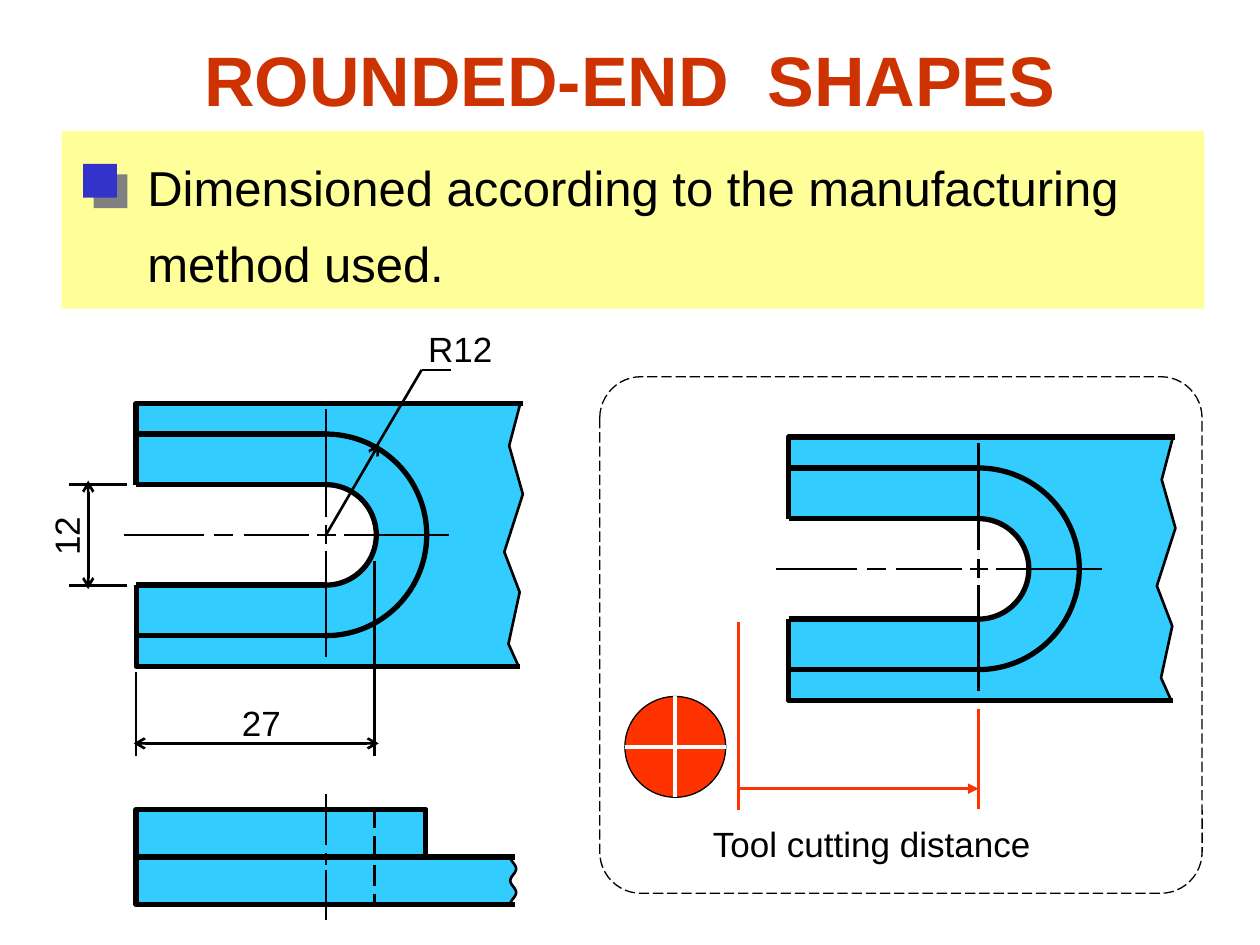
from math import cos, pi
from lxml import etree
from pptx import Presentation
from pptx.dml.color import RGBColor
from pptx.enum import dml, shapes, text
from pptx.oxml.ns import qn
from pptx.util import Pt

INK = dict(red="CC3300", tool="FF3300", steel="33CCFF", pale="FFFF99",
           blue="3333CC", grey="808080", black="000000", white="FFFFFF")
KIND = shapes.MSO_SHAPE
THICK, THIN = 3, 1.5


def rgb(name):
    return RGBColor.from_string(INK[name])


def apply(obj, form):
    for key, val in form.items():
        setattr(obj, key, val)


def paint(shp, fill=None, line=None, width=THICK, dash=None):
    shp.shadow.inherit = False
    if fill:
        shp.fill.solid()
        shp.fill.fore_color.rgb = rgb(fill)
    else:
        shp.fill.background()
    if line:
        shp.line.color.rgb = rgb(line)
        apply(shp.line, dict(width=Pt(width), dash_style=dash))
    else:
        shp.line.fill.background()
    return shp


def block(sld, kind, x, y, w, h, **look):
    shp = sld.shapes.add_shape(kind, Pt(x), Pt(y), Pt(w), Pt(h))
    return paint(shp, **look)


def outline(sld, pts, close=False, **look):
    pts = [(Pt(x), Pt(y)) for x, y in pts]
    form = sld.shapes.build_freeform(*pts[0])
    form.add_line_segments(pts[1:], close=close)
    return paint(form.convert_to_shape(), **look)


def line(sld, x1, y1, x2, y2, width=THIN, color="black", dash=None, **ends):
    con = sld.shapes.add_connector(
        shapes.MSO_CONNECTOR.STRAIGHT, Pt(x1), Pt(y1), Pt(x2), Pt(y2))
    con.line.color.rgb = rgb(color)
    apply(con.line, dict(width=Pt(width), dash_style=dash))
    for end in ("head", "tail"):
        if end in ends:
            etree.SubElement(con.line._ln, qn(f"a:{end}End"), type=ends[end])
    etree.SubElement(con._element.spPr, qn("a:effectLst"))


def write(frame, lines, size, color="black", bold=False, **para):
    for i, words in enumerate(lines):
        par = frame.paragraphs[0] if i == 0 else frame.add_paragraph()
        par.text = words
        apply(par, para)
        apply(par.font, dict(name="Arial", size=Pt(size), bold=bold))
        par.font.color.rgb = rgb(color)


def label(sld, lines, x, y, w, h, size=20, turn=0, **para):
    box = sld.shapes.add_textbox(Pt(x), Pt(y), Pt(w), Pt(h))
    box.rotation = turn
    apply(box.text_frame, dict(word_wrap=False,
                               auto_size=text.MSO_AUTO_SIZE.SHAPE_TO_FIT_TEXT))
    write(box.text_frame, lines, size, **para)


def heading(sld, x, y, w, h):
    box = sld.shapes.title
    apply(box, dict(left=Pt(x), top=Pt(y), width=Pt(w), height=Pt(h)))
    apply(box.text_frame, dict(vertical_anchor=text.MSO_ANCHOR.MIDDLE,
                               word_wrap=True,
                               auto_size=text.MSO_AUTO_SIZE.NONE))
    write(box.text_frame, ["ROUNDED-END  SHAPES"], 40, "red", True,
          alignment=text.PP_ALIGN.CENTER)


def banner(sld, x, y, w, h):
    block(sld, KIND.RECTANGLE, x, y, w, h, fill="pale")
    label(sld, ["Dimensioned according to the manufacturing", "method used."],
          x + 41.8, y + 1.5, 576.7, 95, size=28, line_spacing=1.3)
    # Square marker with a hard offset shadow
    mark = block(sld, KIND.RECTANGLE, x + 12.2, y + 18.7, 19.4, 19.4,
                 fill="blue")
    glow = etree.SubElement(mark._element.spPr.find(qn("a:effectLst")),
                            qn("a:outerShdw"), blurRad="0",
                            dist=str(Pt(8.5)), dir="2700000", algn="ctr",
                            rotWithShape="0")
    etree.SubElement(glow, qn("a:srgbClr"), val=INK["grey"])


def plate(sld, x, y, h):
    """Top view of a slotted plate; x, y is its top left corner."""
    cx, cy, big, slot = x + 108.5, y + h / 2, 57.6, 28.7
    torn = [(219.6, 0), (213.2, 24.3), (221, 52), (210.4, 85),
            (219.2, 108), (212.8, 137.5), (218.6, h)]
    edge = [(x + dx, y + dy) for dx, dy in torn]
    outline(sld, [(x, y), *edge, (x, y + h)], close=True, fill="steel")
    # Raised rim, then the slot cut through it
    for r, fill in ((big, "steel"), (slot, "white")):
        if r == slot:
            block(sld, KIND.RECTANGLE, x - 1.5, cy - r, cx - x + 1.5, 2 * r,
                  fill=fill)
        arc = block(sld, KIND.ARC, cx - r, cy - r, 2 * r, 2 * r,
                    fill=fill, line="black")
        arc.adjustments[0], arc.adjustments[1] = 162, 54
        for side in (cy - r, cy + r):
            line(sld, x, side, cx, side, THICK)
    outline(sld, edge, line="black", width=THIN)
    for end, lip, far in ((y, cy - slot, 221), (y + h, cy + slot, 219.6)):
        outline(sld, [(x, lip), (x, end), (x + far, end)], line="black")
    # Centre lines
    for a, b in ((-115.5, -69.5), (-64, -53), (-47, -9.5), (-5, 5.5),
                 (10, 70.5)):
        line(sld, cx + a, cy, cx + b, cy)
    for a, b in ((-72, -10.5), (-5.5, 5.5), (9.5, 70)):
        line(sld, cx, cy + a, cx, cy + b)


def sizes(sld, x, y, h):
    """Dimensions of the plate whose top left corner is x, y."""
    cx, cy, slot = x + 108.5, y + h / 2, 28.9
    # Radius
    line(sld, cx, cy, cx + 30.2, cy - 51.8, tail="arrow")
    line(sld, cx + 28.8, cy - 50.4, cx + 54.7, cy - 94.3)
    line(sld, cx + 54.7, cy - 94.3, cx + 71.5, cy - 94.3)
    label(sld, ["R12"], x + 159.8, y - 46.8, 51, 31.5)
    # Length
    end = x + 136.1
    line(sld, x, y + 153.4, x, y + 201.6)
    line(sld, end, y + 90, end, y + 201.6)
    line(sld, x - 1.4, y + 194.4, end + 2.5, y + 194.4,
         head="arrow", tail="arrow")
    label(sld, ["27"], x + 53.3, y + 167, 36.7, 31.5)
    # Slot width
    line(sld, x - 27.4, cy + 31, x - 27.4, cy - 31,
         head="arrow", tail="arrow")
    for side in (cy - slot, cy + slot):
        line(sld, x - 38.5, side, x - 5.4, side)
    label(sld, ["12"], x - 58.3, cy - 15, 36.7, 31.5, turn=270)


def profile(sld, x, y, h):
    """Side view: a boss on a base with a wavy broken end."""
    cx, mid, low = x + 108.5, y + h / 2, y + h
    wave = [(x + 215.5 - 1.7 * cos(pi * i / 6), mid + h / 2 * i / 24)
            for i in range(25)]
    outline(sld, [(x, mid), *wave, (x, low)], close=True, fill="steel")
    block(sld, KIND.RECTANGLE, x, y, 165.6, h / 2, fill="steel", line="black")
    outline(sld, [(x + 216.5, low), (x, low), (x, mid), (x + 216.5, mid)],
            line="black")
    outline(sld, wave, line="black", width=THIN)
    for a, b in ((-35.7, -7), (-2.5, 4.5), (7.5, 36)):
        line(sld, cx, mid + a, cx, mid + b)
    line(sld, x + 136.1, y - 1.5, x + 136.1, low,
         dash=dml.MSO_LINE.LONG_DASH)


def cutter(sld, x, y, w, h):
    frame = block(sld, KIND.ROUNDED_RECTANGLE, x, y, w, h, line="black",
                  width=0.75, dash=dml.MSO_LINE.LONG_DASH)
    frame.adjustments[0] = 0.08
    plate(sld, x + 108, y + 34.5, 150.5)
    # Tool
    r, cx, cy = 28.8, x + 43.2, y + 211.5
    block(sld, KIND.OVAL, cx - r, cy - r, 2 * r, 2 * r,
          fill="tool", line="black", width=0.75)
    line(sld, cx, cy - r, cx, cy + r, 2.25, "white")
    line(sld, cx - r, cy, cx + r, cy, 2.25, "white")
    # Travel
    start, end = x + 79.2, x + 216.5
    line(sld, start, y + 140.4, start, y + 247.7, color="tool")
    line(sld, end, y + 190, end, y + 247, color="tool")
    line(sld, start, y + 235.4, end, y + 235.4, color="tool",
         tail="triangle")
    label(sld, ["Tool cutting distance"], x + 57.6, y + 251.3, 198, 31.5)


def main():
    prs = Presentation()
    apply(prs, dict(slide_width=Pt(720), slide_height=Pt(540)))
    sld = prs.slides.add_slide(prs.slide_layouts[5])
    heading(sld, 54, 0, 612, 90)
    banner(sld, 35.3, 74.9, 653, 101.5)
    plate(sld, 77.8, 230.4, 150.5)
    sizes(sld, 77.8, 230.4, 150.5)
    profile(sld, 77.8, 462.6, 54.2)
    cutter(sld, 342.7, 215.3, 344.2, 295.2)
    prs.save("out.pptx")


if __name__ == "__main__":
    main()
